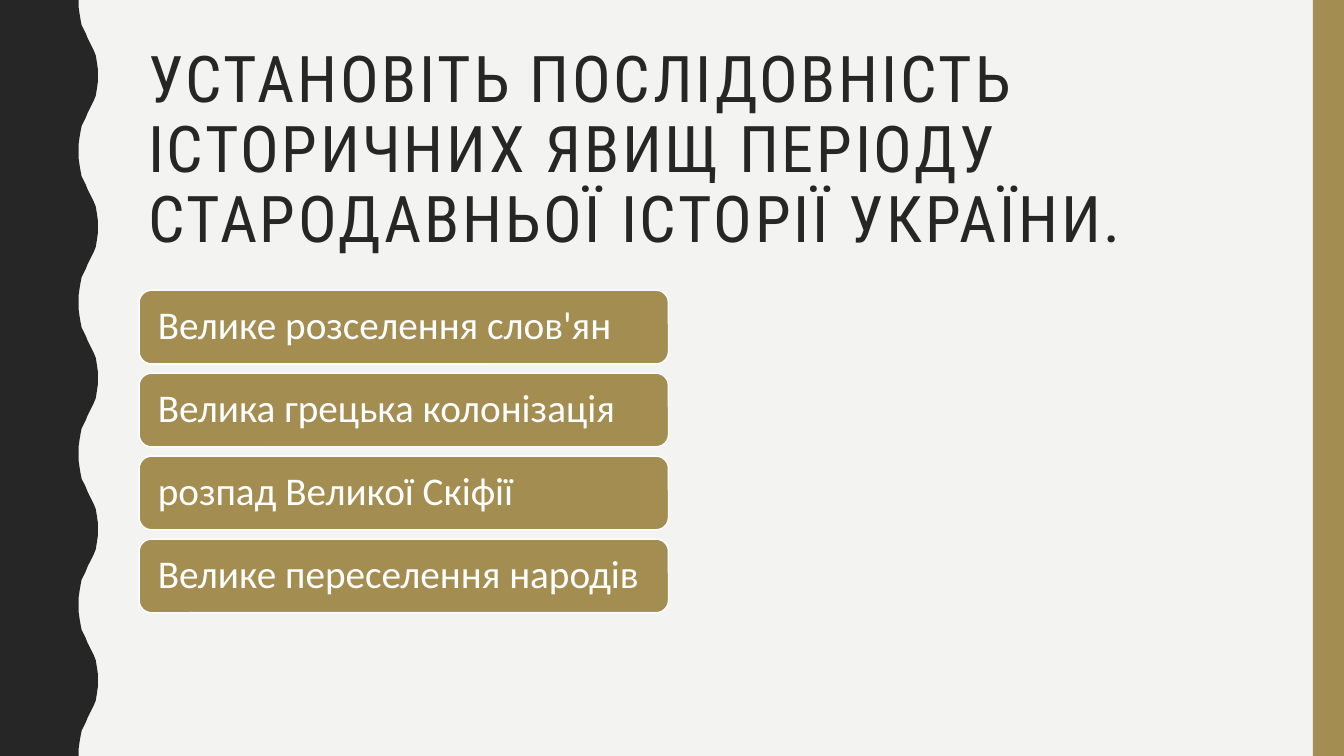
from pptx import Presentation
from pptx.dml.color import RGBColor
from pptx.enum.shapes import MSO_SHAPE
from pptx.enum.text import MSO_ANCHOR, PP_ALIGN
from pptx.util import Inches, Pt

RECT = MSO_SHAPE.RECTANGLE
ROUNDED = MSO_SHAPE.ROUNDED_RECTANGLE
MIDDLE, TOP = MSO_ANCHOR.MIDDLE, MSO_ANCHOR.TOP
LEFT = PP_ALIGN.LEFT

DARK, GOLD, PAPER, WHITE = "262626", "A38D51", "F3F3F2", "FFFFFF"
WIDTH, HEIGHT = 13.33, 7.5

TITLE = "УСТАНОВІТЬ ПОСЛІДОВНІСТЬ ІСТОРИЧНИХ ЯВИЩ ПЕРІОДУ СТАРОДАВНЬОЇ ІСТОРІЇ УКРАЇНИ."
EVENTS = [
    "Велике розселення слов'ян",
    "Велика грецька колонізація",
    "розпад Великої Скіфії",
    "Велике переселення народів",
]

# Outward half of one wave; the other half mirrors it.
WAVE_PERIOD = 1.5
HALF_WAVE = [
    (0.78, 0), (0.78, 0.07), (0.79, 0.14), (0.8, 0.2), (0.81, 0.25),
    (0.83, 0.29), (0.85, 0.33), (0.87, 0.38), (0.89, 0.42), (0.91, 0.46),
    (0.93, 0.5), (0.95, 0.55), (0.96, 0.61), (0.97, 0.68), (0.97, 0.75),
]


def color(value):
    return RGBColor.from_string(value)


def paint(s, fill, line=None):
    s.shadow.inherit = False
    s.fill.solid()
    s.fill.fore_color.rgb = color(fill)
    if line:
        s.line.color.rgb = color(line)
        s.line.width = Pt(1)
    else:
        s.line.fill.background()


def add_block(slide, kind, x, y, w, h, fill, line=None):
    s = slide.shapes.add_shape(kind, Inches(x), Inches(y), Inches(w), Inches(h))
    paint(s, fill, line)
    return s


def add_wavy_band(slide):
    wave = HALF_WAVE + [(x, WAVE_PERIOD - y) for x, y in HALF_WAVE[-2::-1]]
    edge = [(x, y + i * WAVE_PERIOD)
            for i in range(round(HEIGHT / WAVE_PERIOD)) for x, y in wave]
    points = [(Inches(x), Inches(y)) for x, y in edge + [(0, HEIGHT)]]
    builder = slide.shapes.build_freeform(0, 0)
    builder.add_line_segments(points, close=True)
    paint(builder.convert_to_shape(), DARK)


def write(s, text, font, size, fill, anchor, inset_x, inset_y, spacing=0):
    """Fill a shape with one left-aligned run; spacing is in points."""
    tf = s.text_frame
    tf.word_wrap = True
    tf.vertical_anchor = anchor
    tf.margin_left = tf.margin_right = Inches(inset_x)
    tf.margin_top = tf.margin_bottom = Inches(inset_y)
    p = tf.paragraphs[0]
    p.alignment = LEFT
    p.line_spacing = 0.9
    r = p.add_run()
    r.text = text
    r.font.name = font
    r.font.size = Pt(size)
    r.font.color.rgb = color(fill)
    if spacing:
        r.font._element.set("spc", str(spacing * 100))


def add_title(slide):
    s = slide.shapes.add_textbox(Inches(1.37), Inches(0.42), Inches(11.13), Inches(1.63))
    write(s, TITLE, "Roboto Condensed", 46, DARK, TOP, 0.1, 0.05, spacing=2)


def add_event(slide, index, text):
    s = add_block(slide, ROUNDED, 1.38, 2.88 + index * 0.823, 5.25, 0.73, GOLD, WHITE)
    write(s, text, "Calibri", 28, WHITE, MIDDLE, 0.15, 0.12)


def main():
    prs = Presentation()
    prs.slide_width, prs.slide_height = Inches(WIDTH), Inches(HEIGHT)
    slide = prs.slides.add_slide(prs.slide_layouts[6])
    slide.background.fill.solid()
    slide.background.fill.fore_color.rgb = color(PAPER)

    add_wavy_band(slide)
    add_block(slide, RECT, 13.02, 0, 0.31, HEIGHT, GOLD)
    add_title(slide)
    for i, text in enumerate(EVENTS):
        add_event(slide, i, text)
    prs.save("out.pptx")


if __name__ == "__main__":
    main()
